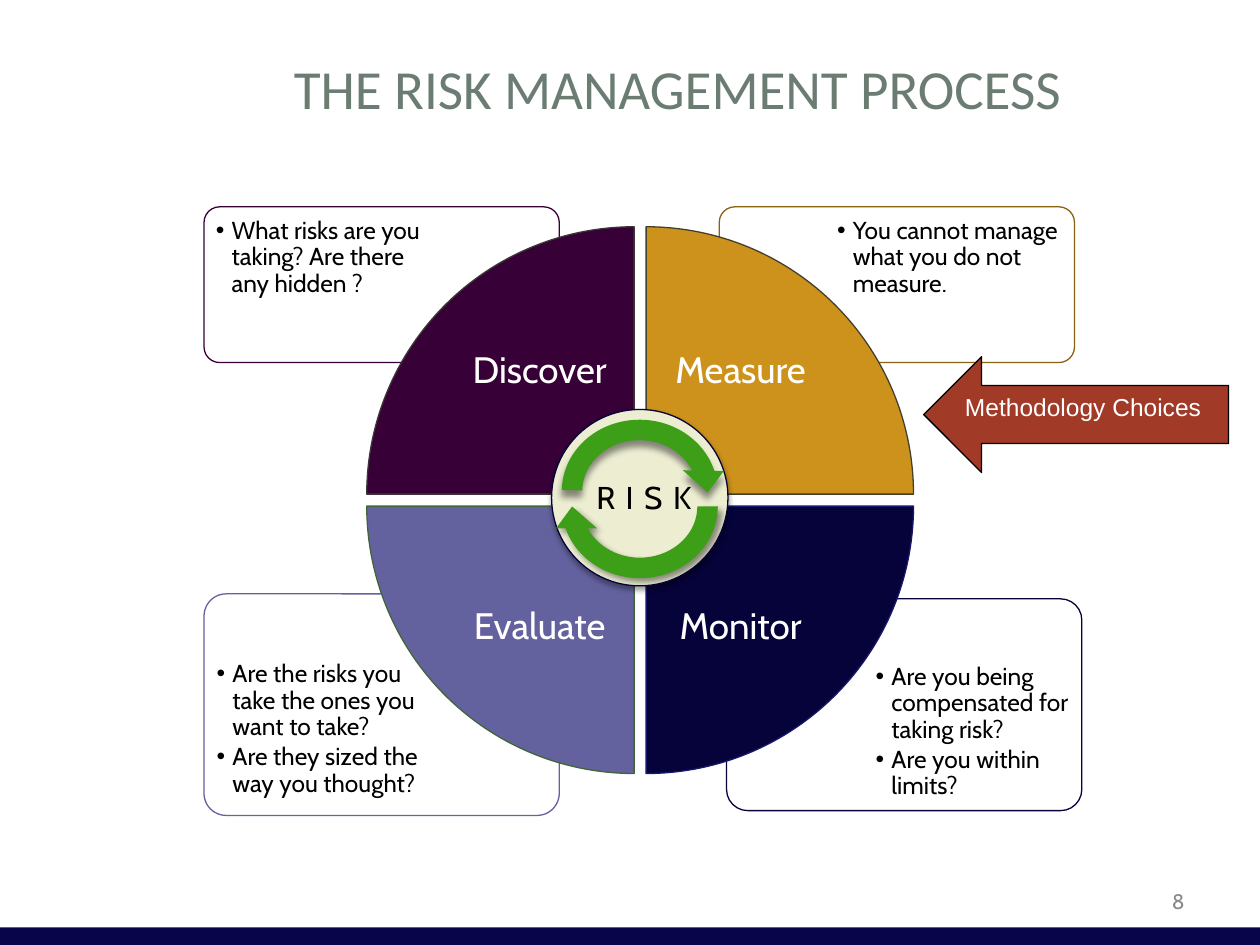
from lxml import etree
from pptx import Presentation
from pptx import util as u
from pptx.dml.color import RGBColor
from pptx.enum import shapes, text
from pptx.oxml import ns

Pt = u.Pt
KIND = shapes.MSO_SHAPE
MID = text.MSO_ANCHOR.MIDDLE
TOP = text.MSO_ANCHOR.TOP
MARK = text.PP_ALIGN


def color(code):
    return RGBColor.from_string(code)


def write(shape, lines, font="Cabin", size=14, ink="000000", align=MARK.LEFT,
          anchor=TOP, pad=(4.3, 4.3, 4.3, 4.3), lead=1.0, after=0,
          bullet=False, track=0):
    frame = shape.text_frame
    frame.word_wrap = True
    frame.auto_size = text.MSO_AUTO_SIZE.NONE
    frame.vertical_anchor = anchor
    frame.margin_left, frame.margin_top, frame.margin_right, frame.margin_bottom = map(Pt, pad)
    for i, line in enumerate(lines):
        para = frame.add_paragraph() if i else frame.paragraphs[0]
        para.alignment = align
        para.line_spacing = lead
        para.space_before = Pt(0)
        para.space_after = Pt(after)
        run = para.add_run()
        run.text = line
        run.font.name = font
        run.font.size = Pt(size)
        run.font.bold = False
        run.font.color.rgb = color(ink)
        if track:
            run.font._element.set("spc", str(track * 100))
        if bullet:
            props = para._p.get_or_add_pPr()
            props.set("marL", str(Pt(9)))
            props.set("indent", str(-Pt(9)))
            face = etree.SubElement(props, ns.qn("a:buFont"))
            face.set("typeface", "Arial")
            etree.SubElement(props, ns.qn("a:buChar")).set("char", "•")


class Deck:
    wide = (7.2, 3.6, 7.2, 3.6)

    def __init__(self):
        self.file = Presentation()
        self.file.slide_width = Pt(720)
        self.file.slide_height = Pt(540)
        self.slide = self.file.slides.add_slide(self.file.slide_layouts[4])
        self.slots = list(self.slide.placeholders)[1:]

    def place(self, shape, box):
        shape.left, shape.top, shape.width, shape.height = map(Pt, box)
        return shape

    def title(self, words, box):
        write(self.place(self.slide.shapes.title, box), [words], font="Calibri",
              size=31.5, ink="6B7D72", align=MARK.CENTER, anchor=MID, pad=self.wide)

    def points(self, lines, box, pad):
        write(self.place(self.slots.pop(0), box), lines, pad=pad,
              lead=0.9, after=2.1, bullet=True)

    def label(self, words, box, **style):
        write(self.slide.shapes.add_textbox(*map(Pt, box)), [words], **style)

    def shape(self, kind, box, fill=None, line=None, turn=0, shade=None):
        item = self.slide.shapes.add_shape(kind, *map(Pt, box))
        item.shadow.inherit = False
        item.rotation = turn
        if fill:
            item.fill.solid()
            item.fill.fore_color.rgb = color(fill)
        else:
            item.fill.background()
        if line:
            item.line.color.rgb = color(line)
            item.line.width = Pt(0.75)
        else:
            item.line.fill.background()
        if shade:
            self.shade(item, *shade)
        return item

    def shade(self, item, alpha, blur, dist, angle):
        effects = item._element.spPr.find(ns.qn("a:effectLst"))
        outer = etree.SubElement(effects, ns.qn("a:outerShdw"), blurRad=str(Pt(blur)),
                                 dist=str(Pt(dist)), dir=str(angle * 60000), rotWithShape="0")
        tint = etree.SubElement(outer, ns.qn("a:srgbClr"), val="000000")
        etree.SubElement(tint, ns.qn("a:alpha"), val=str(alpha * 1000))


def main():
    deck = Deck()
    deck.title("THE RISK MANAGEMENT PROCESS", (54, 27.4, 666, 44.6))

    even = (4.3, 4.3, 4.3, 4.3)
    inset = (21.6, 4.3, 4.3, 4.3)
    cards = [
        ("370037", (116.6, 118.2, 203, 89), (119, 120.2, 138.2, 63), even,
         ["What risks are you taking? Are there any hidden ?"]),
        ("896212", (411, 118.2, 203, 89), (474, 120.2, 138.2, 63), even,
         ["You cannot manage what you do not measure."]),
        ("64629E", (116.6, 339.4, 203, 126.6), (119.5, 373.7, 136.1, 89.3), even,
         ["Are the risks you take the ones you want to take?",
          "Are they sized the way you thought?"]),
        ("06033B", (415.2, 342.2, 203, 121), (478.8, 375.1, 136.8, 85), inset,
         ["Are you being compensated for taking risk?", "Are you within limits?"]),
    ]
    for line, box, area, pad, lines in cards:
        deck.shape(KIND.ROUNDED_RECTANGLE, box, line=line).adjustments[0] = 0.1
        deck.points(lines, area, pad)

    side, gap, left, top = 152.8, 6.8, 209.6, 129.6
    wedges = [
        ("Discover", "370037", "3C3638", 0, 0),
        ("Measure", "CD921B", "42402C", 1, 0),
        ("Monitor", "06033B", "17176C", 1, 1),
        ("Evaluate", "64629E", "416539", 0, 1),
    ]
    for i, (name, fill, line, col, row) in enumerate(wedges):
        x, y = left + col * (side + gap), top + row * (side + gap)
        deck.shape(KIND.PIE_WEDGE, (x, y, side, side), fill, line, turn=90 * i)
        deck.label(name, (x + (0 if col else side - 108), 194.6 + row * 146.2, 108, 36),
                   size=21, ink="FFFFFF", align=MARK.CENTER, anchor=MID, lead=0.9)

    deck.shape(KIND.OVAL, (315.2, 234, 100.8, 100.8), "ECEDD1", "06033B",
               shade=(35, 3.1, 1.8, 90))
    deck.label("RISK", (287.3, 198, 161.3, 174.2), size=18, align=MARK.CENTER,
               anchor=MID, lead=0.9, track=6)
    for y, turn, shade in ((234, 1, (43, 4, 4, 92)), (242.6, 180, (43, 4, 3, 45))):
        deck.shape(KIND.CIRCULAR_ARROW, (315.2, y, 100.8, 93.6), "3D9F17",
                   turn=turn, shade=shade)

    arrow = deck.shape(KIND.LEFT_ARROW, (527.8, 203.8, 174.2, 66.2), "A23A28", "000000")
    write(arrow, ["Methodology Choices"], font="Arial", ink="FFFFFF", pad=deck.wide)
    deck.shape(KIND.RECTANGLE, (0, 529.9, 720, 10.1), "09054B")
    deck.label("8", (516.2, 500.4, 167.8, 28.8), size=12, ink="898989",
               align=MARK.RIGHT, anchor=MID, pad=deck.wide)
    deck.file.save("out.pptx")


if __name__ == "__main__":
    main()
